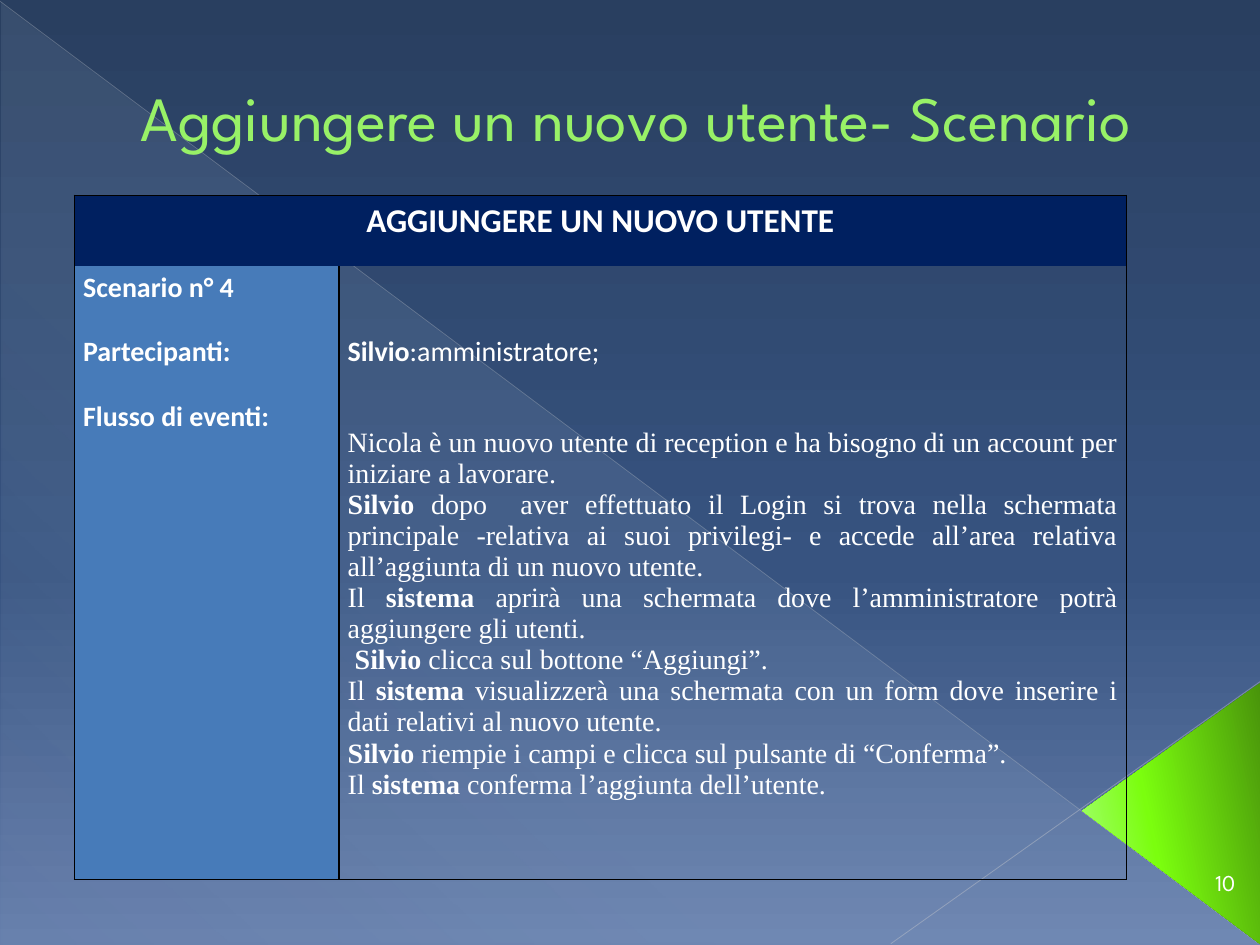
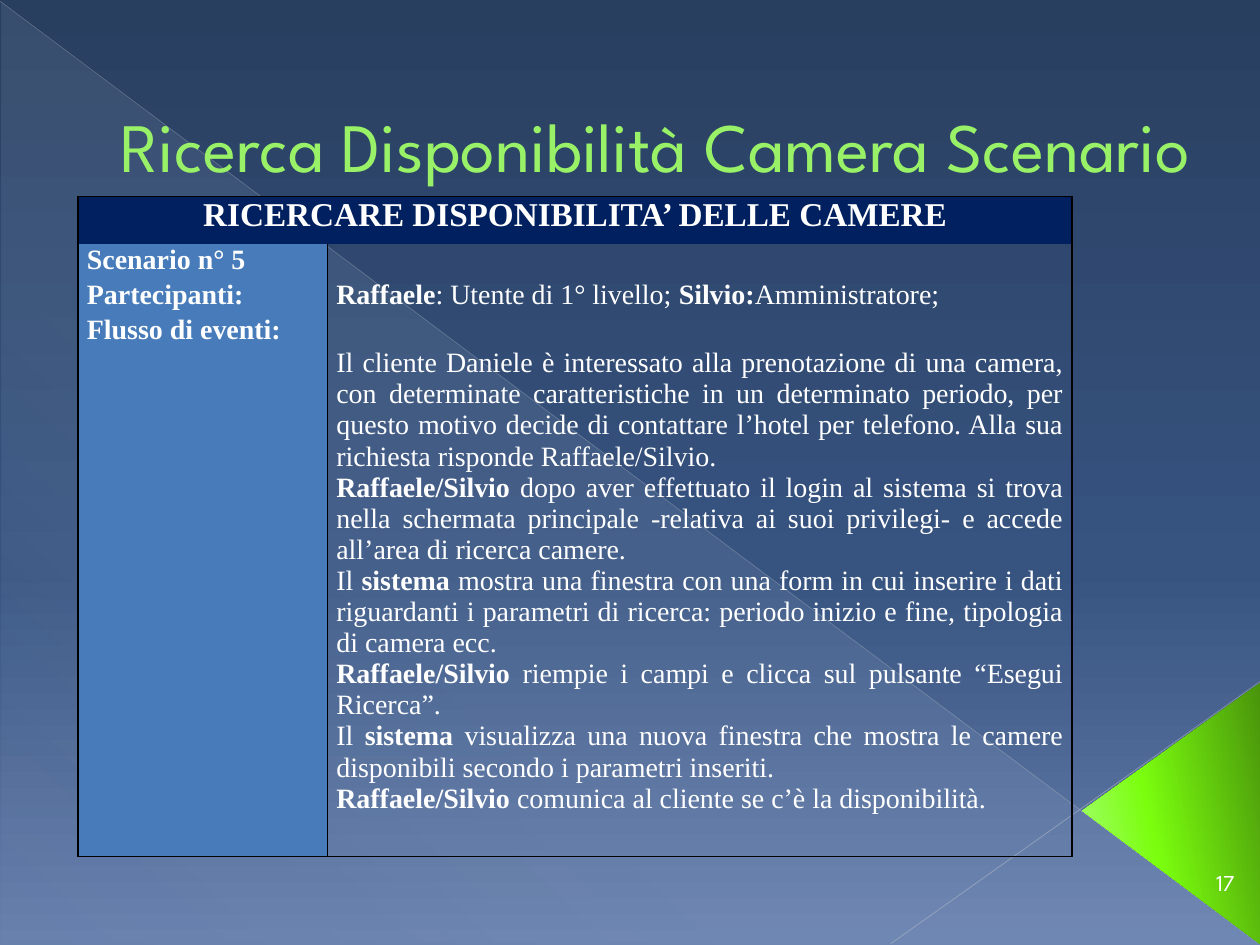
from lxml import etree
from pptx import Presentation
from pptx.dml.color import RGBColor
from pptx.enum.shapes import MSO_CONNECTOR, MSO_SHAPE
from pptx.enum.text import MSO_ANCHOR, PP_ALIGN
from pptx.oxml import parse_xml
from pptx.oxml.ns import nsdecls, qn
from pptx.util import Pt

PX = 9144  # 100 px to the inch
SPARTAN, TIMES, CALIBRI = "League Spartan", "Times New Roman", "Calibri"
WHITE, BLACK, NAVY, BLUE = "FFFFFF", "000000", "002060", "477BB9"
LIME, MOSS = "98F167", "589129"
SKY = [(0, "293F60", 100), (60, "375380", 100), (100, "667FAC", 100)]
VEIL = [(0, "D6ECFF", 10), (70, "D6ECFF", 8), (100, "D6ECFF", 1)]
LEAF = [(0, "49940B", 100), (60, "7BFE0E", 100), (100, "A8FF7D", 100)]
RAYS = [((0, 1, 999, 749), "B7BCC5", 0.39, 35),
        ((1000, 541, 707, 749), "BFC3CB", 0.47, 45)]

hue = RGBColor.from_string


def grade(owner, fill, stops, angle):
    """Fill with a linear gradient; stops are (place, colour, opacity) in percent."""
    fill.gradient()
    old = owner.element.find(".//" + qn("a:gradFill"))
    marks = "".join(
        f'<a:gs pos="{place * 1000}"><a:srgbClr val="{hue(tone)}">'
        f'<a:alpha val="{alpha * 1000}"/></a:srgbClr></a:gs>'
        for place, tone, alpha in stops)
    new = parse_xml(f'<a:gradFill {nsdecls("a")} rotWithShape="1"><a:gsLst>{marks}</a:gsLst>'
                    f'<a:lin ang="{angle * 60000}" scaled="0"/></a:gradFill>')
    old.getparent().replace(old, new)


def write(frame, lines, tone, form, **font):
    """Write one paragraph per line; words between asterisks are bold."""
    frame.word_wrap = True
    for num, line in enumerate(lines):
        para = frame.add_paragraph() if num else frame.paragraphs[0]
        for key, val in form.items():
            setattr(para, key, val)
        for odd, part in enumerate(line.split("*")):
            if part:
                run = para.add_run()
                run.text = part
                run.font.color.rgb = hue(tone)
                for key, val in {"bold": odd % 2 == 1, **font}.items():
                    setattr(run.font, key, val)
        if not line:
            etree.SubElement(para._p, qn("a:endParaRPr"), sz=str(int(font["size"].pt * 100)))


PAGES = [
    dict(
        title="Aggiungere un nuovo utente- Scenario", size=36, box=(0, 29, 957, 98), num="10",
        place=(59, 155), cols=(210, 625), rows=(56, 51, 51, 385), face=CALIBRI,
        form=dict(line_spacing=1.15, space_after=Pt(10)),
        head="*AGGIUNGERE UN NUOVO UTENTE*", case="*Scenario n° 4*",
        cast="*Silvio*:amministratore;",
        flow=[
            "Nicola è un nuovo utente di reception e ha bisogno di un account per iniziare a lavorare.",
            "*Silvio* dopo  aver effettuato il Login si trova nella schermata principale -relativa ai "
            "suoi privilegi- e accede all’area relativa all’aggiunta di un nuovo utente.",
            "Il *sistema* aprirà una schermata dove l’amministratore potrà aggiungere gli utenti.",
            " *Silvio* clicca sul bottone “Aggiungi”.",
            "Il *sistema* visualizzerà una schermata con un form dove inserire i dati relativi al "
            "nuovo utente.",
            "*Silvio* riempie i campi e clicca sul pulsante di “Conferma”.",
            "Il *sistema* conferma l’aggiunta dell’utente.",
        ]),
    dict(
        title="Ricerca Disponibilità Camera Scenario", size=39.6, box=(31, 55, 926, 98), num="17",
        place=(62, 156), cols=(198, 591), rows=(38, 28, 28, 430), face=TIMES, form={},
        head="*RICERCARE DISPONIBILITA’ DELLE CAMERE*", case="*Scenario n° 5*",
        cast="*Raffaele*: Utente di 1° livello; *Silvio:*Amministratore;",
        flow=[
            "Il cliente Daniele è interessato alla prenotazione di una camera, con determinate "
            "caratteristiche in un determinato periodo, per questo motivo decide di contattare "
            "l’hotel per telefono. Alla sua richiesta risponde Raffaele/Silvio.",
            "*Raffaele/Silvio* dopo aver effettuato il login al sistema si trova nella schermata "
            "principale -relativa ai suoi privilegi- e accede all’area di ricerca camere.",
            "Il *sistema* mostra una finestra con una form in cui inserire i dati riguardanti i "
            "parametri di ricerca: periodo inizio e fine, tipologia di camera ecc.",
            "*Raffaele/Silvio* riempie i campi e clicca sul pulsante “Esegui Ricerca”.",
            "Il *sistema* visualizza una nuova finestra che mostra le camere disponibili secondo i "
            "parametri inseriti.",
            "*Raffaele/Silvio* comunica al cliente se c’è la disponibilità.",
        ]),
]

deck = Presentation()
deck.slide_width, deck.slide_height = 1000 * PX, 750 * PX

for page in PAGES:
    slide = deck.slides.add_slide(deck.slide_layouts[6])
    shapes = slide.shapes
    grade(slide, slide.background.fill, SKY, 90)

    # Backdrop: veil, two rays and the green corner
    veil = shapes.add_shape(MSO_SHAPE.RIGHT_TRIANGLE, *(n * PX for n in (1, 2, 999, 748)))
    grade(veil, veil.fill, VEIL, 133)
    for ends, tone, width, alpha in RAYS:
        ray = shapes.add_connector(MSO_CONNECTOR.STRAIGHT, *(n * PX for n in ends))
        ray.line.color.rgb = hue(tone)
        ray.line.width = Pt(width)
        ink = ray.element.spPr.find(".//" + qn("a:srgbClr"))
        etree.SubElement(ink, qn("a:alpha"), val=str(alpha * 1000))
        etree.SubElement(ray.element.spPr, qn("a:effectLst"))
    leaf = shapes.add_shape(MSO_SHAPE.ISOSCELES_TRIANGLE, *(n * PX for n in (826, 575, 207, 141)))
    leaf.rotation = 270
    leaf.adjustments[0] = 0.51
    grade(leaf, leaf.fill, LEAF, 258)
    for shape in (veil, leaf):
        shape.line.fill.background()
        shape.shadow.inherit = False

    # Title and page number
    title = shapes.add_textbox(*(n * PX for n in page["box"])).text_frame
    title.vertical_anchor = MSO_ANCHOR.BOTTOM
    write(title, [page["title"]], LIME, dict(alignment=PP_ALIGN.CENTER),
          name=SPARTAN, size=Pt(page["size"]))
    para = title.paragraphs[0]
    para._p.get_or_add_pPr().set("marL", str(53 * PX))
    para.runs[0].font._element.insert(0, parse_xml(
        f'<a:ln {nsdecls("a")} w="6350"><a:solidFill><a:srgbClr val="{hue(MOSS)}"/>'
        '</a:solidFill></a:ln>'))
    num = shapes.add_textbox(*(n * PX for n in (945, 680, 55, 40))).text_frame
    num.vertical_anchor = MSO_ANCHOR.MIDDLE
    write(num, [page["num"]], WHITE, dict(alignment=PP_ALIGN.CENTER), name=SPARTAN, size=Pt(13))

    # Scenario table
    cols, rows, face, form = (page[key] for key in ("cols", "rows", "face", "form"))
    size = (*page["place"], sum(cols), sum(rows))
    table = shapes.add_table(len(rows), len(cols), *(n * PX for n in size)).table
    table.first_row = table.horz_banding = False
    for col, width in zip(table.columns, cols):
        col.width = width * PX
    for row, height in zip(table.rows, rows):
        row.height = height * PX
    table.cell(0, 0).merge(table.cell(0, 1))

    mid = {**form, "alignment": PP_ALIGN.CENTER}
    full = {"alignment": PP_ALIGN.JUSTIFY}
    grid = [
        [([page["head"]], mid, face, 19, NAVY), None],
        [([page["case"]], form, face, 16, BLUE), ([""], {}, face, 16, None)],
        [(["*Partecipanti:*"], form, face, 16, BLUE), ([page["cast"]], form, face, 16, None)],
        [(["*Flusso di eventi:*"], form, face, 16, BLUE), (page["flow"], full, TIMES, 16, None)],
    ]
    last = len(rows) - 1
    for r, row in enumerate(grid):
        for c, item in enumerate(row):
            cell = table.cell(r, c)
            sides = dict(margin_left=7, margin_right=7, margin_bottom=0,
                         margin_top=26 if (r, c) == (last, 1) else 0)
            for key, val in sides.items():
                setattr(cell, key, val * PX)
            if item:
                lines, style, name, points, tone = item
                write(cell.text_frame, lines, WHITE, style, name=name, size=Pt(points))
            if item and tone:
                cell.fill.solid()
                cell.fill.fore_color.rgb = hue(tone)
            else:
                cell.fill.background()
            edges = dict(L=True, R=True, T=r == 0, B=r == last)
            for spot, (edge, drawn) in enumerate(edges.items()):
                ink = (f'<a:solidFill><a:srgbClr val="{hue(BLACK)}"/></a:solidFill>'
                       if drawn else "<a:noFill/>")
                cell._tc.get_or_add_tcPr().insert(spot, parse_xml(
                    f'<a:ln{edge} {nsdecls("a")} w="12700">{ink}</a:ln{edge}>'))

deck.save("out.pptx")
